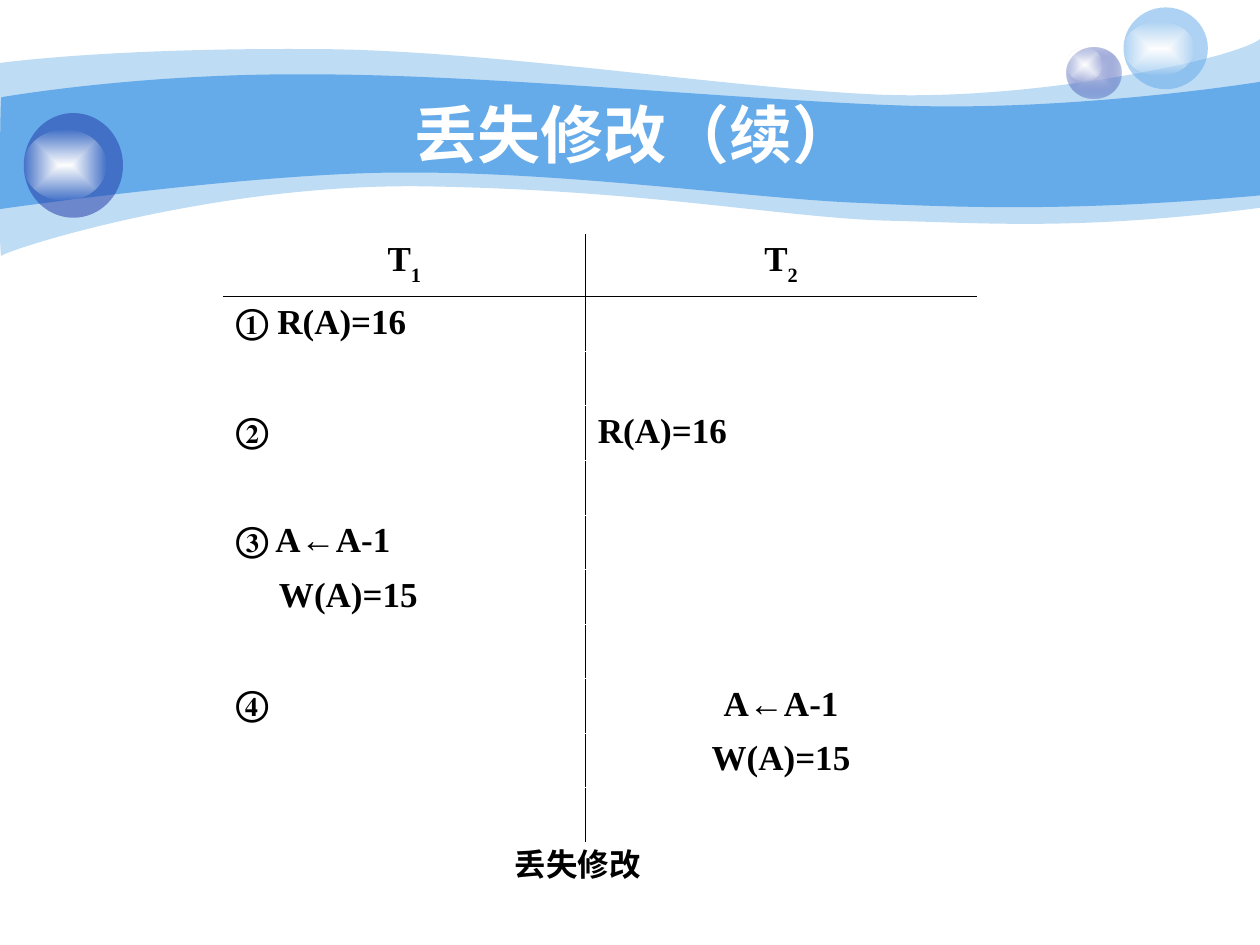
"""Build the lost-update slide with its schedule of two transactions."""
import pptx
import pptx.oxml
import pptx.util
from pptx.dml.color import RGBColor
from pptx.enum.shapes import MSO_SHAPE
from pptx.enum.text import MSO_ANCHOR, MSO_AUTO_SIZE, PP_ALIGN
from pptx.oxml.ns import nsdecls, qn
from pptx.util import Cm

COLORS = {"sky": "65AAE9", "navy": "233DA9", "lilac": "C7CEE9",
          "white": "FFFFFF", "black": "000000"}
SHINE = [("white", 100), ("white", 0)]
OUTER_WAVE = [
    [(0, 1.27)],
    [(0.61, 1.19), (2.72, 0.97), (6.27, 0.99)],
    [(9.8, 0.99), (14.61, 1.78), (17.75, 1.91)],
    [(20.88, 2.03), (24.89, 1.19), (25.4, 0.79)],
    [(25.4, 4.19)],
    [(21.79, 4.65), (19.99, 4.5), (17.91, 4.45)],
    [(15.8, 4.39), (13.08, 3.84), (8.71, 3.76)],
    [(4.37, 3.66), (0.1, 5.05), (0.03, 5.16)],
    [(-0.03, 5.28), (0, 1.9), (0, 1.27)],
]
INNER_WAVE = [
    [(0.03, 1.96)],
    [(0.05, 1.96), (2.79, 1.47), (6.3, 1.5)],
    [(9.8, 1.5), (15.11, 2.03), (18.24, 2.13)],
    [(21.36, 2.24), (24.79, 1.75), (25.4, 1.65)],
    [(25.4, 3.94)],
    [(21.67, 4.27), (19.43, 4.19), (17.32, 4.09)],
    [(15.21, 4.01), (11.35, 3.45), (8.05, 3.48)],
    [(5.16, 3.48), (-0.05, 4.22), (-0.03, 4.22)],
    [(0, 4.22), (0, 1.96), (0.03, 1.96)],
]
SCHEDULE = [("T1", "T2"), ("① R(A)=16", ""), ("", ""), ("②", "R(A)=16"),
            ("", ""), ("③ A←A-1", ""), ("W(A)=15", ""), ("", ""),
            ("④", "A←A-1"), ("", "W(A)=15"), ("", "")]
CENTERED = {(0, 0), (0, 1), (8, 1), (9, 1)}
CONTINUATION = (6, 0)


def write_text(frame, text, size=20, font="Times New Roman", color="black",
               align=PP_ALIGN.LEFT, indent=0, subscript=""):
    """Write one bold paragraph, with an optional subscript at its end."""
    paragraph = frame.paragraphs[0]
    paragraph.alignment = align
    if indent:
        paragraph._p.get_or_add_pPr().set("marL", str(Cm(indent)))
    for part in filter(None, (text, subscript)):
        run = paragraph.add_run()
        run.text = part
        run.font.size = pptx.util.Pt(size)
        run.font.name = font
        run.font.bold = True
        run.font.color.rgb = RGBColor.from_string(COLORS[color])
    if subscript:
        run.font._element.set("baseline", "-30000")


def paint(shape, stops):
    """Fill a shape with one translucent colour or a gradient from its centre."""
    shape.shadow.inherit = False
    shape.line.fill.background()
    shape.fill.background()
    colors = [f'<a:srgbClr val="{COLORS[name]}"><a:alpha val="{alpha * 1000}"/></a:srgbClr>'
              for name, alpha in stops]
    if len(colors) == 1:
        xml = f'<a:solidFill {nsdecls("a")}>{colors[0]}</a:solidFill>'
    else:
        xml = (f'<a:gradFill {nsdecls("a")}><a:gsLst><a:gs pos="0">{colors[0]}</a:gs>'
               f'<a:gs pos="100000">{colors[1]}</a:gs></a:gsLst><a:path path="rect">'
               '<a:fillToRect l="50000" t="50000" r="50000" b="50000"/>'
               '</a:path></a:gradFill>')
    properties = shape._element.spPr
    properties.replace(properties.find(qn("a:noFill")), pptx.oxml.parse_xml(xml))


def bend_segments(shape, segments):
    """Join the line ends of each three-point segment into a cubic curve."""
    lines = iter(list(shape._element.spPr.iter(qn("a:lnTo"))))
    for segment in segments:
        members = [next(lines) for _ in segment]
        if len(members) == 3:
            curve = pptx.oxml.parse_xml(f'<a:cubicBezTo {nsdecls("a")}/>')
            members[0].addprevious(curve)
            for line in members:
                curve.append(line[0])
                line.getparent().remove(line)


def add_wave(slide, segments, alpha):
    """Add one band of the banner."""
    start, *points = [(Cm(x), Cm(y)) for segment in segments for x, y in segment]
    builder = slide.shapes.build_freeform(*start)
    builder.add_line_segments(points, close=True)
    wave = builder.convert_to_shape()
    bend_segments(wave, segments[1:])
    paint(wave, [("sky", alpha)])


def add_bubble(slide, body, shine, stops):
    """Add a ball and the highlight on it."""
    for box, colors in ((body, stops), (shine, SHINE)):
        paint(slide.shapes.add_shape(MSO_SHAPE.OVAL, *map(Cm, box)), colors)


def set_borders(cell, **sides):
    """Draw the given cell sides as thin lines, in schema order."""
    properties = cell._tc.get_or_add_tcPr()
    for position, (side, color) in enumerate(sides.items()):
        properties.insert(position, pptx.oxml.parse_xml(
            f'<a:{side} {nsdecls("a")} w="5715"><a:solidFill>'
            f'<a:srgbClr val="{COLORS[color]}"/></a:solidFill></a:{side}>'))


def add_schedule(slide):
    """Add the table of steps taken by both transactions."""
    frame = slide.shapes.add_table(len(SCHEDULE), 2, Cm(4.5), Cm(4.72),
                                   Cm(15.19), Cm(12.26))
    table = frame.table
    table.first_row = table.horz_banding = False
    for column, width in zip(table.columns, (7.3, 7.89)):
        column.width = Cm(width)
    for row, texts in enumerate(SCHEDULE):
        table.rows[row].height = Cm(1.1 if row else 1.26)
        for column, text in enumerate(texts):
            cell = table.cell(row, column)
            cell.fill.background()
            set_borders(cell,
                        lnL="black" if column else "white",
                        lnR="white" if column else "black",
                        lnT="black" if row == 1 else "white",
                        lnB="white" if row else "black")
            place = (row, column)
            label, subscript = (text, "") if row else (text[0], text[1])
            write_text(cell.text_frame, label, subscript=subscript,
                       align=PP_ALIGN.CENTER if place in CENTERED else PP_ALIGN.LEFT,
                       indent=0.87 if place == CONTINUATION else 0)


def add_title(slide, text):
    """Move the title placeholder onto the banner and write it."""
    title = slide.shapes.title
    title.left, title.top, title.width, title.height = map(Cm, (2.54, 1.9, 20.52, 1.57))
    title.text_frame.vertical_anchor = MSO_ANCHOR.MIDDLE
    title.text_frame.auto_size = MSO_AUTO_SIZE.NONE
    write_text(title.text_frame, text, size=36, font="Arial", color="white",
               align=PP_ALIGN.CENTER)
    slide.shapes._spTree.append(title._element)


def add_caption(slide, text):
    """Add the caption below the table."""
    box = slide.shapes.add_textbox(*map(Cm, (9.17, 16.92, 4.95, 1.02)))
    box.text_frame.word_wrap = True
    write_text(box.text_frame, text, size=18, align=PP_ALIGN.CENTER)


def main():
    """Build and save the slide."""
    presentation = pptx.Presentation()
    presentation.slide_width, presentation.slide_height = Cm(25.4), Cm(19.05)
    slide = presentation.slides.add_slide(presentation.slide_layouts[5])
    add_wave(slide, OUTER_WAVE, 41)
    add_wave(slide, INNER_WAVE, 100)
    add_bubble(slide, (21.5, 0.95, 1.1, 1.04), (21.5, 0.95, 0.72, 0.69),
               [("lilac", 100), ("navy", 31)])
    add_bubble(slide, (22.65, 0.15, 1.7, 1.65), (22.65, 0.43, 1.42, 1.09), [("sky", 53)])
    add_bubble(slide, (0.48, 2.28, 2, 2.11), (0.48, 2.62, 1.67, 1.42), [("navy", 53)])
    add_title(slide, "丢失修改（续）")
    add_schedule(slide)
    add_caption(slide, "丢失修改")
    presentation.save("out.pptx")


if __name__ == "__main__":
    main()
